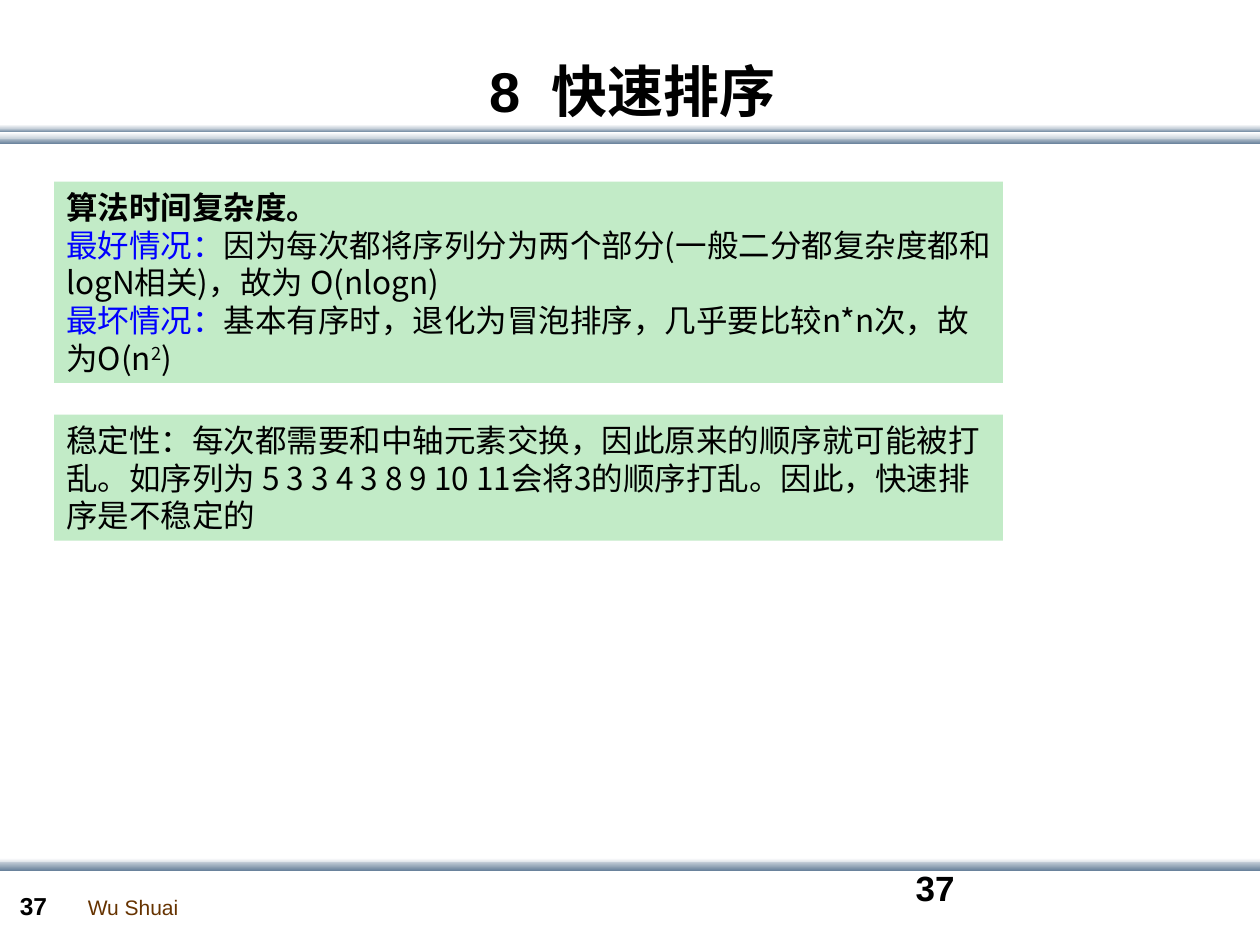
from typing import NamedTuple

from lxml import etree
from pptx import Presentation
from pptx.dml.color import RGBColor
from pptx.enum import shapes, text
from pptx.oxml import ns
from pptx.util import Cm, Pt

BLACK = RGBColor(0x00, 0x00, 0x00)
BLUE = RGBColor(0x00, 0x00, 0xFF)
BROWN = RGBColor(0x66, 0x33, 0x00)
GREEN = RGBColor(0xC2, 0xEB, 0xC7)
WHITE = RGBColor(0xFF, 0xFF, 0xFF)
SILVER = RGBColor(0xC8, 0xD1, 0xDA)
STEEL = RGBColor(0x6A, 0x83, 0x9C)

LATIN_FONT = "Arial"
CHINESE_FONT = "Noto Sans CJK SC"
SLIDE_WIDTH = 25.4


class Band(NamedTuple):
    top: float
    height: float
    start: RGBColor
    end: RGBColor


class Label(NamedTuple):
    words: str
    left: float
    top: float
    width: float
    height: float
    size: int
    color: RGBColor = BLACK
    bold: bool = True
    centered: bool = False
    wrap: bool = True


class Piece(NamedTuple):
    words: str
    color: RGBColor = BLACK
    bold: bool = False
    superscript: bool = False


class Panel(NamedTuple):
    top: float
    height: float
    paragraphs: list[list[Piece]]


BANDS = [
    Band(2.77, 0.13, SILVER, STEEL),
    Band(2.59, 0.08, SILVER, STEEL),
    Band(2.67, 0.13, WHITE, SILVER),
    Band(2.51, 0.08, WHITE, SILVER),
    Band(17.3, 0.13, WHITE, SILVER),
    Band(17.37, 0.18, SILVER, STEEL),
]

LABELS = [
    Label("Wu Shuai", 1.52, 17.91, 2.34, 0.76, 12, BROWN, bold=False, wrap=False),
    Label("37", 0.15, 17.83, 1.4, 0.86, 14),
    Label("37", 18.21, 17.35, 5.92, 1.27, 20),
    Label("8  快速排序", 0.56, 1.12, 24.38, 1.4, 32, centered=True),
]

PANELS = [
    Panel(3.66, 4.06, [
        [
            Piece("算法时间复杂度。\v", bold=True),
            Piece("最好情况：", BLUE),
            Piece("因为每次都将序列分为两个部分(一般二分都复杂度都和logN相关)，故为 O(nlogn)"),
        ],
        [
            Piece("最坏情况：", BLUE),
            Piece("基本有序时，退化为冒泡排序，几乎要比较n*n次，故为O(n"),
            Piece("2", superscript=True),
            Piece(")"),
        ],
    ]),
    Panel(8.36, 2.54, [
        [Piece("稳定性：每次都需要和中轴元素交换，因此原来的顺序就可能被打乱。"
               "如序列为 5 3 3 4 3 8 9 10 11会将3的顺序打乱。因此，快速排序是不稳定的")],
    ]),
]


def set_font(paragraph, name: str, size: int) -> None:
    """Set size and typeface, the latter for Chinese characters as well."""
    paragraph.font.size = Pt(size)
    paragraph.font.name = name
    properties = paragraph._p.pPr.find(ns.qn("a:defRPr"))
    east_asian = etree.Element(ns.qn("a:ea"), typeface=CHINESE_FONT)
    properties.find(ns.qn("a:latin")).addnext(east_asian)


def add_rectangle(slide, left: float, top: float, width: float, height: float):
    shape = slide.shapes.add_shape(
        shapes.MSO_SHAPE.RECTANGLE, Cm(left), Cm(top), Cm(width), Cm(height))
    shape.shadow.inherit = False
    shape.line.fill.background()
    return shape


def add_band(slide, band: Band) -> None:
    fill = add_rectangle(slide, 0, band.top, SLIDE_WIDTH, band.height).fill
    fill.gradient()
    fill.gradient_angle = 270
    for stop, color in zip(fill.gradient_stops, (band.start, band.end)):
        stop.color.rgb = color


def add_label(slide, label: Label) -> None:
    box = slide.shapes.add_textbox(
        Cm(label.left), Cm(label.top), Cm(label.width), Cm(label.height))
    frame = box.text_frame
    frame.word_wrap = label.wrap
    paragraph = frame.paragraphs[0]
    paragraph.text = label.words
    if label.centered:
        frame.vertical_anchor = text.MSO_ANCHOR.MIDDLE
        paragraph.alignment = text.PP_ALIGN.CENTER
    set_font(paragraph, LATIN_FONT, label.size)
    paragraph.font.bold = label.bold
    paragraph.font.color.rgb = label.color


def add_piece(paragraph, piece: Piece) -> None:
    words, line_break, _ = piece.words.partition("\v")
    run = paragraph.add_run()
    run.text = words
    run.font.bold = piece.bold
    run.font.color.rgb = piece.color
    if piece.superscript:
        run._r.get_or_add_rPr().set("baseline", "30000")
    if line_break:
        paragraph.add_line_break()


def add_panel(slide, panel: Panel) -> None:
    shape = add_rectangle(slide, 1.09, panel.top, 19.13, panel.height)
    shape.fill.solid()
    shape.fill.fore_color.rgb = GREEN
    frame = shape.text_frame
    frame.word_wrap = True
    frame.vertical_anchor = text.MSO_ANCHOR.TOP
    for index, pieces in enumerate(panel.paragraphs):
        paragraph = frame.add_paragraph() if index else frame.paragraphs[0]
        paragraph.alignment = text.PP_ALIGN.LEFT
        set_font(paragraph, CHINESE_FONT, 18)
        for piece in pieces:
            add_piece(paragraph, piece)


def main() -> None:
    presentation = Presentation()
    presentation.slide_width = Cm(SLIDE_WIDTH)
    presentation.slide_height = Cm(19.05)
    slide = presentation.slides.add_slide(presentation.slide_layouts[6])
    for band in BANDS:
        add_band(slide, band)
    for label in LABELS:
        add_label(slide, label)
    for panel in PANELS:
        add_panel(slide, panel)
    presentation.save("out.pptx")


if __name__ == "__main__":
    main()
